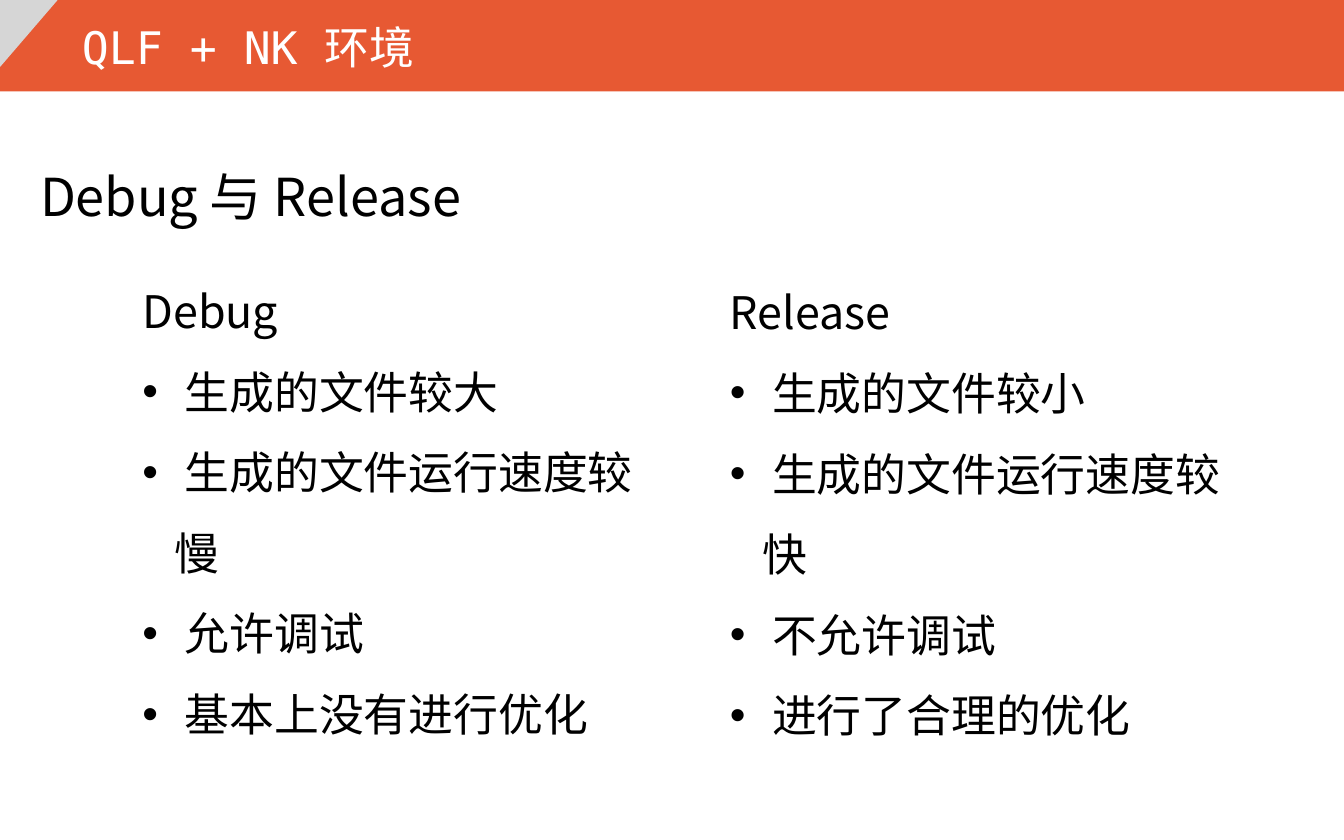
from lxml.etree import SubElement
from pptx import Presentation
from pptx.dml.color import RGBColor
from pptx.enum.shapes import MSO_SHAPE
from pptx.enum.text import MSO_ANCHOR, MSO_AUTO_SIZE, PP_ALIGN
from pptx.oxml.ns import qn
from pptx.util import Inches, Pt

SANS = "Noto Sans CJK SC"
MONO = "DejaVu Sans Mono"
COLUMNS = [
    (1.86, ["Debug", " 生成的文件较大", " 生成的文件运行速度较慢", " 允许调试", " 基本上没有进行优化"]),
    (1.87, ["Release", " 生成的文件较小", " 生成的文件运行速度较快", " 不允许调试", " 进行了合理的优化"]),
]


def color(value):
    """Return the colour for a hex string."""
    return RGBColor.from_string(value)


def place(shape, left, top, width, height):
    """Move a shape to a box given in inches."""
    shape.left, shape.top = Inches(left), Inches(top)
    shape.width, shape.height = Inches(width), Inches(height)


def prepare_frame(shape):
    """Give a text frame its wrapping and top anchor."""
    frame = shape.text_frame
    frame.word_wrap = True
    frame.auto_size = MSO_AUTO_SIZE.NONE
    frame.vertical_anchor = MSO_ANCHOR.TOP
    return frame


def format_paragraph(paragraph, size, font_name, hex_color, spacing):
    """Format a paragraph and its runs."""
    paragraph.alignment = PP_ALIGN.LEFT
    paragraph.line_spacing = spacing
    paragraph.space_before = Pt(0)
    for run in paragraph.runs:
        run.font.size = Pt(size)
        run.font.color.rgb = color(hex_color)
        run.font.name = font_name
        SubElement(run.font._element, qn("a:ea"), typeface=SANS)


def set_bullet(paragraph, bulleted):
    """Turn the bullet and hanging indent of a paragraph on or off."""
    properties = paragraph._p.get_or_add_pPr()
    indent = Inches(0.24) if bulleted else 0
    properties.set("marL", str(indent))
    properties.set("indent", str(-indent))
    if bulleted:
        SubElement(properties, qn("a:buFont"), typeface="Arial")
        SubElement(properties, qn("a:buChar"), char="•")
    else:
        SubElement(properties, qn("a:buNone"))


def add_band_shape(slide, kind, hex_color, position, box):
    """Add a plain filled shape behind the placeholders."""
    shape = slide.shapes.add_shape(kind, 0, 0, 0, 0)
    place(shape, *box)
    shape.fill.solid()
    shape.fill.fore_color.rgb = color(hex_color)
    shape.line.fill.background()
    shape.shadow.inherit = False
    slide.shapes._spTree.insert(2 + position, shape._element)
    return shape


def add_header(slide, left, top, width, height):
    """Build the header band with its corner and title."""
    add_band_shape(slide, MSO_SHAPE.RECTANGLE, "E75933", 0, (left, top, width, height))
    corner = add_band_shape(slide, MSO_SHAPE.RIGHT_TRIANGLE, "D6D6D6", 1, (left, top, 0.43, 0.5))
    corner._element.spPr.get_or_add_xfrm().set("flipV", "1")
    title = slide.shapes.title
    place(title, left + 0.51, top + 0.1, 3.39, 0.5)
    frame = prepare_frame(title)
    frame.text = "QLF + NK 环境"
    format_paragraph(frame.paragraphs[0], 24, MONO, "FFFFFF", 1)


def add_heading(slide, left, top, width, height):
    """Add the heading above the two columns."""
    box = slide.shapes.add_textbox(0, 0, 0, 0)
    place(box, left, top, width, height)
    frame = prepare_frame(box)
    frame.text = "Debug 与 Release"
    format_paragraph(frame.paragraphs[0], 28, SANS, "000000", 1.7)


def fill_column(placeholder, lines, left, top, width, height):
    """Fill a body placeholder with a heading and bulleted lines."""
    place(placeholder, left, top, width, height)
    frame = prepare_frame(placeholder)
    frame.text = "\n".join(lines)
    for index, paragraph in enumerate(frame.paragraphs):
        set_bullet(paragraph, index > 0)
        format_paragraph(paragraph, 24, SANS, "000000", 1.5)


def main():
    """Build and save the slide."""
    presentation = Presentation()
    presentation.slide_width, presentation.slide_height = Inches(10), Inches(6.25)
    slide = presentation.slides.add_slide(presentation.slide_layouts[3])
    add_header(slide, 0, 0, 10, 0.68)
    add_heading(slide, 0.2, 0.85, 9.3, 0.9)
    for index, (top, lines) in enumerate(COLUMNS):
        fill_column(slide.placeholders[index + 1], lines, 0.96 + 4.37 * index, top, 4.06, 3.1)
    presentation.save("out.pptx")


if __name__ == "__main__":
    main()
